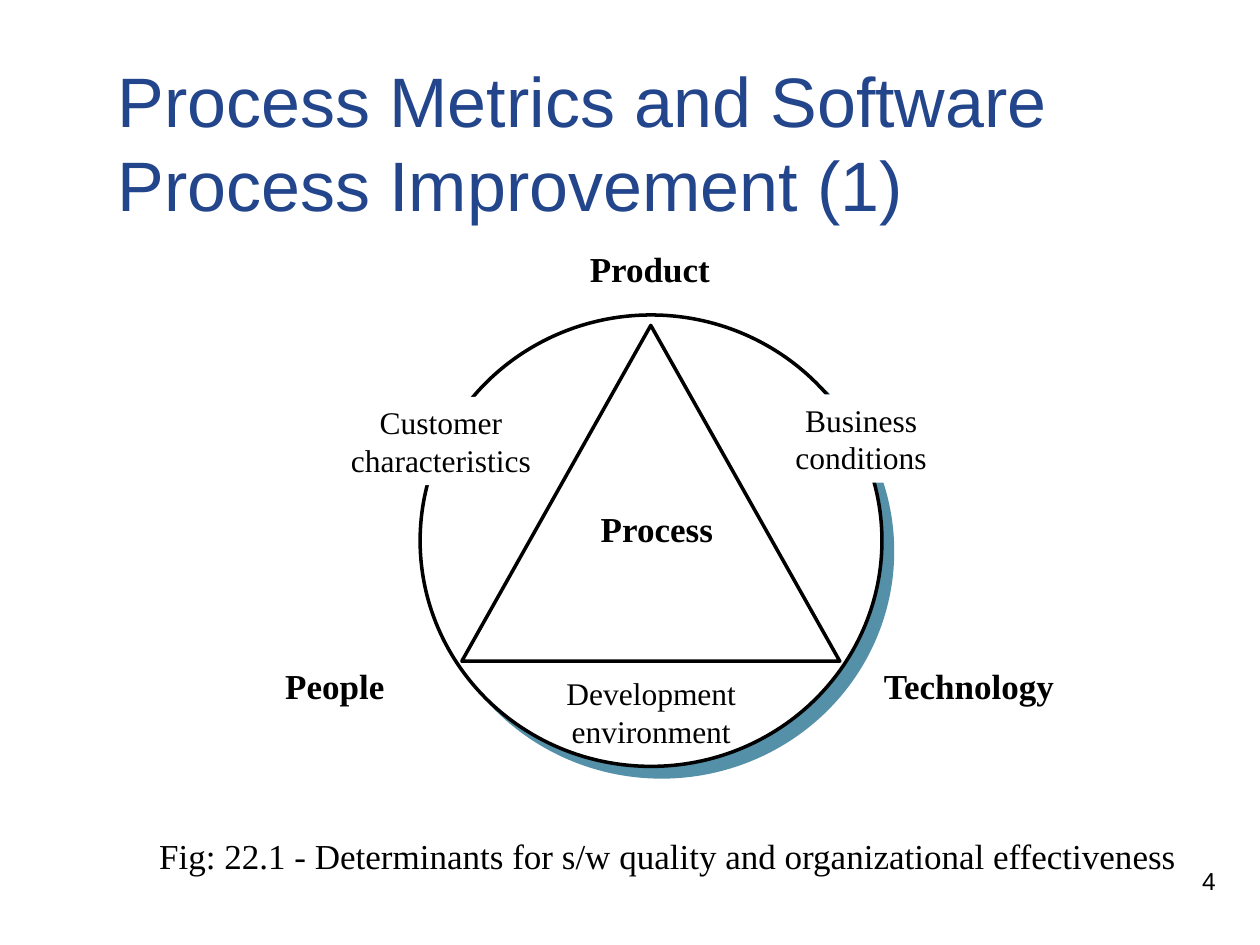
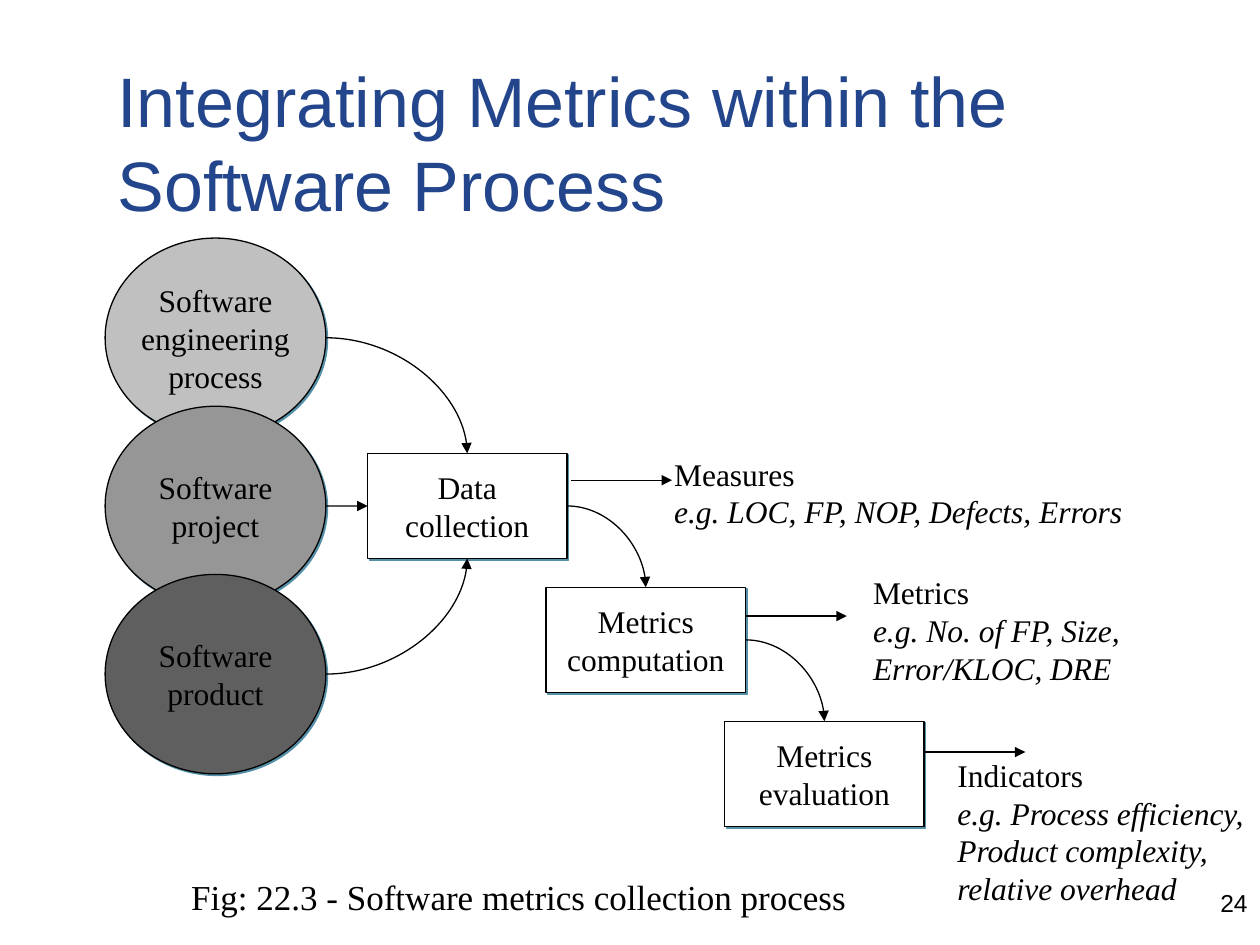
import pptx
import pptx.util
import pptx.dml.color
import pptx.enum.shapes
import pptx.enum.text
import pptx.oxml
import pptx.oxml.ns
import lxml.etree

Cm, Pt = pptx.util.Cm, pptx.util.Pt
SHAPE = pptx.enum.shapes.MSO_SHAPE
LINK = pptx.enum.shapes.MSO_CONNECTOR
ALIGN = pptx.enum.text.PP_ALIGN
MIDDLE = pptx.enum.text.MSO_ANCHOR.MIDDLE

COLORS = {
    "title": "22458B",
    "ink": "000000",
    "paper": "FFFFFF",
    "shade": "5490A8",
    "light": "C0C0C0",
    "mid": "969696",
    "dark": "5F5F5F",
}
SANS, SERIF = "Arial", "Times New Roman"


def color(name):
    return pptx.dml.color.RGBColor.from_string(COLORS[name])


def add_node(parent, tag, **attrs):
    node = lxml.etree.SubElement(parent, pptx.oxml.ns.qn(tag))
    for key, value in attrs.items():
        node.set(key, str(value))
    return node


def write(shape, text, size, font=SERIF, ink="ink", bold=False,
          align=ALIGN.LEFT, wrap=True):
    """Fill a shape with text in one style; a vertical tab breaks a line."""
    frame = shape.text_frame
    frame.text = text
    frame.word_wrap = wrap
    for para in frame.paragraphs:
        para.alignment = align
        for run in para.runs:
            run.font.name = font
            run.font.size = Pt(size)
            run.font.bold = bold
            run.font.color.rgb = color(ink)
    return frame


def add_text(slide, box, text, size, **style):
    shape = slide.shapes.add_textbox(*map(Cm, box))
    return write(shape, text, size, **style)


def add_form(slide, kind, box, fill="paper", line=None, shade=None):
    """Add a preset shape; line is a width and shade a shadow offset, in points."""
    shape = slide.shapes.add_shape(kind, *map(Cm, box))
    shape.shadow.inherit = False
    shape.fill.solid()
    shape.fill.fore_color.rgb = color(fill)
    if line:
        shape.line.color.rgb = color("ink")
        shape.line.width = Pt(line)
    else:
        shape.line.fill.background()
    if shade:
        effects = shape._element.spPr.find(pptx.oxml.ns.qn("a:effectLst"))
        drop = add_node(effects, "a:outerShdw", blurRad=0, dist=Pt(shade),
                        dir=45 * 60000, algn="ctr", rotWithShape=0)
        add_node(drop, "a:srgbClr", val=COLORS["shade"])
    return shape


def add_node_form(slide, kind, box, text, fill="paper"):
    """Add a labelled step of the flow."""
    shape = add_form(slide, kind, box, fill, line=0.75, shade=1.4)
    frame = write(shape, text, 18, align=ALIGN.CENTER, wrap=False)
    frame.vertical_anchor = MIDDLE
    return shape


def add_arrow(slide, start, end, curved=False):
    kind = LINK.CURVE if curved else LINK.STRAIGHT
    arrow = slide.shapes.add_connector(kind, *start, *end)
    arrow.line.color.rgb = color("ink")
    arrow.line.width = Pt(0.75)
    props = arrow._element.spPr
    if curved:
        props.find(pptx.oxml.ns.qn("a:prstGeom")).set("prst", "curvedConnector2")
    add_node(arrow.line._get_or_add_ln(), "a:tailEnd", type="triangle")
    add_node(props, "a:effectLst")


def right(shape):
    return shape.left + shape.width, shape.top + shape.height // 2


def top(shape):
    return shape.left + shape.width // 2, shape.top


def bottom(shape):
    return shape.left + shape.width // 2, shape.top + shape.height


def add_slide(deck, title, number, spot):
    slide = deck.slides.add_slide(deck.slide_layouts[6])
    add_text(slide, (*spot, 5.29, 1.27), number, 14, font=SANS, align=ALIGN.RIGHT)
    frame = add_text(slide, (2.12, 1.27, 22.44, 3.18), title, 40,
                     font=SANS, ink="title")
    frame.vertical_anchor = MIDDLE
    return slide


def draw_factors(deck):
    slide = add_slide(deck, "Process Metrics and Software Process Improvement (1)",
                      "4", (19.47, 17.34))
    add_form(slide, SHAPE.OVAL, (8.47, 6.35, 9.31, 9.1), line=2, shade=8.5)
    add_form(slide, SHAPE.ISOSCELES_TRIANGLE, (9.31, 6.56, 7.62, 6.77), line=2)

    for text, x, y, width in (
        ("Product", 11.64, 4.87, 3.39),
        ("Technology", 17.57, 13.28, 4.45),
        ("People", 5.5, 13.28, 3.39),
        ("Process", 11.86, 10.11, 3.39),
    ):
        add_text(slide, (x, y, width, 1.12), text, 20, bold=True)

    for text, x, y in (
        ("Customer\vcharacteristics", 6.56, 8.0),
        ("Business\vconditions", 15.03, 7.95),
    ):
        patch = add_form(slide, SHAPE.RECTANGLE, (x, y, 4.66, 1.78))
        write(patch, text, 18, align=ALIGN.CENTER)
    add_text(slide, (10.8, 13.46, 4.66, 1.78), "Development\venvironment", 18,
             align=ALIGN.CENTER)
    add_text(slide, (2.96, 16.69, 21.17, 1.12),
             "Fig: 22.1 - Determinants for s/w quality and organizational effectiveness",
             20)


def draw_flow(deck):
    slide = add_slide(deck, "Integrating Metrics within the Software Process",
                      "24", (20.11, 17.78))
    inputs = (
        ("Software\vengineering\vprocess", "light"),
        ("Software\vproject", "mid"),
        ("Software\vproduct", "dark"),
    )
    discs = [
        add_node_form(slide, SHAPE.OVAL, (2.12, 4.8 + 3.39 * i, 4.45, 4.02), text, fill)
        for i, (text, fill) in enumerate(inputs)
    ]
    names = ("Data\vcollection", "Metrics\vcomputation", "Metrics\vevaluation")
    steps = [
        add_node_form(slide, SHAPE.RECTANGLE,
                      (7.41 + 3.6 * i, 9.14 + 2.7 * i, 4.02, 2.12), text)
        for i, text in enumerate(names)
    ]

    first = steps[0]
    add_arrow(slide, right(discs[0]), top(first), curved=True)
    add_arrow(slide, right(discs[2]), bottom(first), curved=True)
    add_arrow(slide, right(discs[1]), (first.left, right(first)[1]))
    for step, after in zip(steps, steps[1:]):
        add_arrow(slide, right(step), top(after), curved=True)

    results = (
        ("Measures", "e.g. LOC, FP, NOP, Defects, Errors",
         (13.34, 9.04, 9.96, 1.78), 0.08),
        ("Metrics", "e.g. No. of FP, Size, Error/KLOC, DRE",
         (17.35, 11.43, 6.55, 2.54), 0),
        ("Indicators", "e.g. Process efficiency, Product complexity, relative overhead",
         (19.05, 15.11, 6.35, 3.3), 0),
    )
    for i, (head, sample, box, gap) in enumerate(results):
        x, y = right(steps[i])[0] + Cm(gap), Cm(9.68 + 2.74 * i)
        add_arrow(slide, (x, y), (x + Cm(2.04), y))
        frame = add_text(slide, box, f"{head}\n{sample}", 18)
        frame.paragraphs[1].runs[0].font.italic = True

    add_text(slide, (2.74, 17.53, 15.44, 1.12),
             "Fig: 22.3 - Software metrics collection process", 20,
             align=ALIGN.CENTER)


def main():
    deck = pptx.Presentation()
    deck.slide_width, deck.slide_height = Cm(25.4), Cm(19.05)
    draw_factors(deck)
    draw_flow(deck)
    deck.save("out.pptx")


if __name__ == "__main__":
    main()
